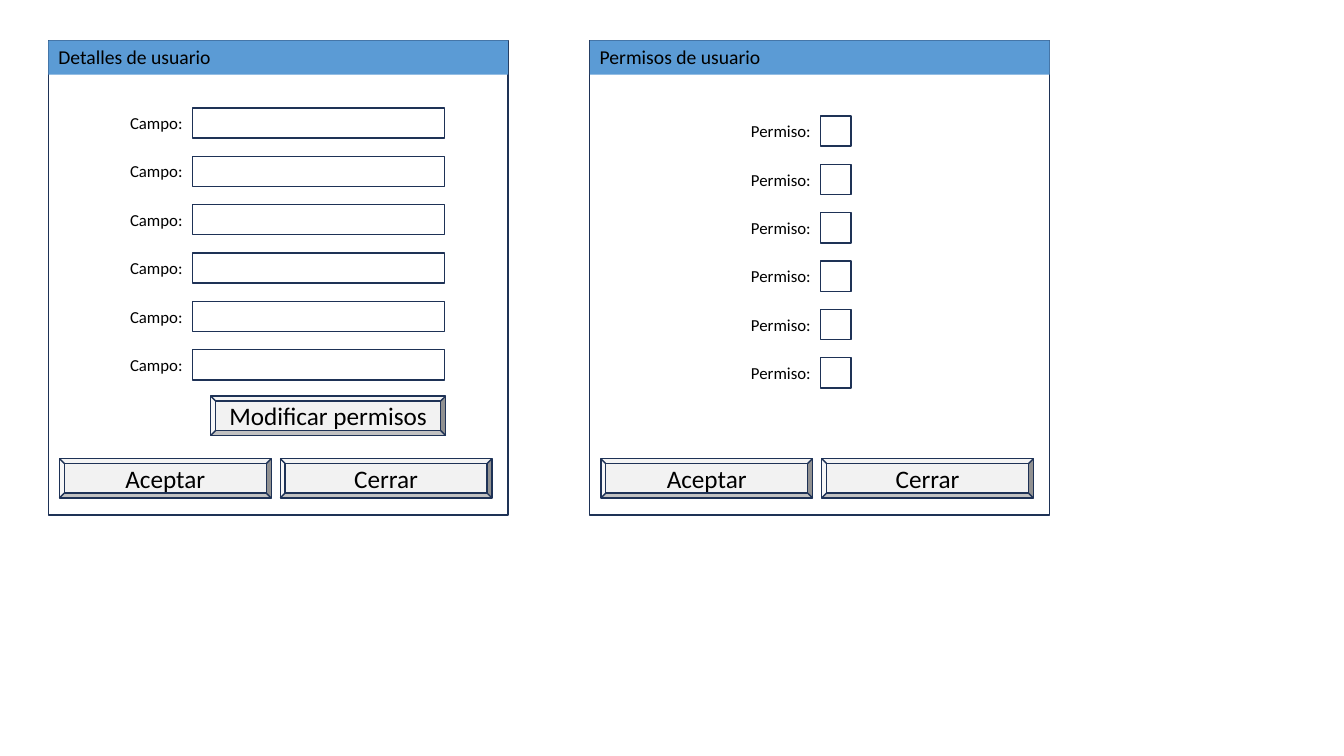
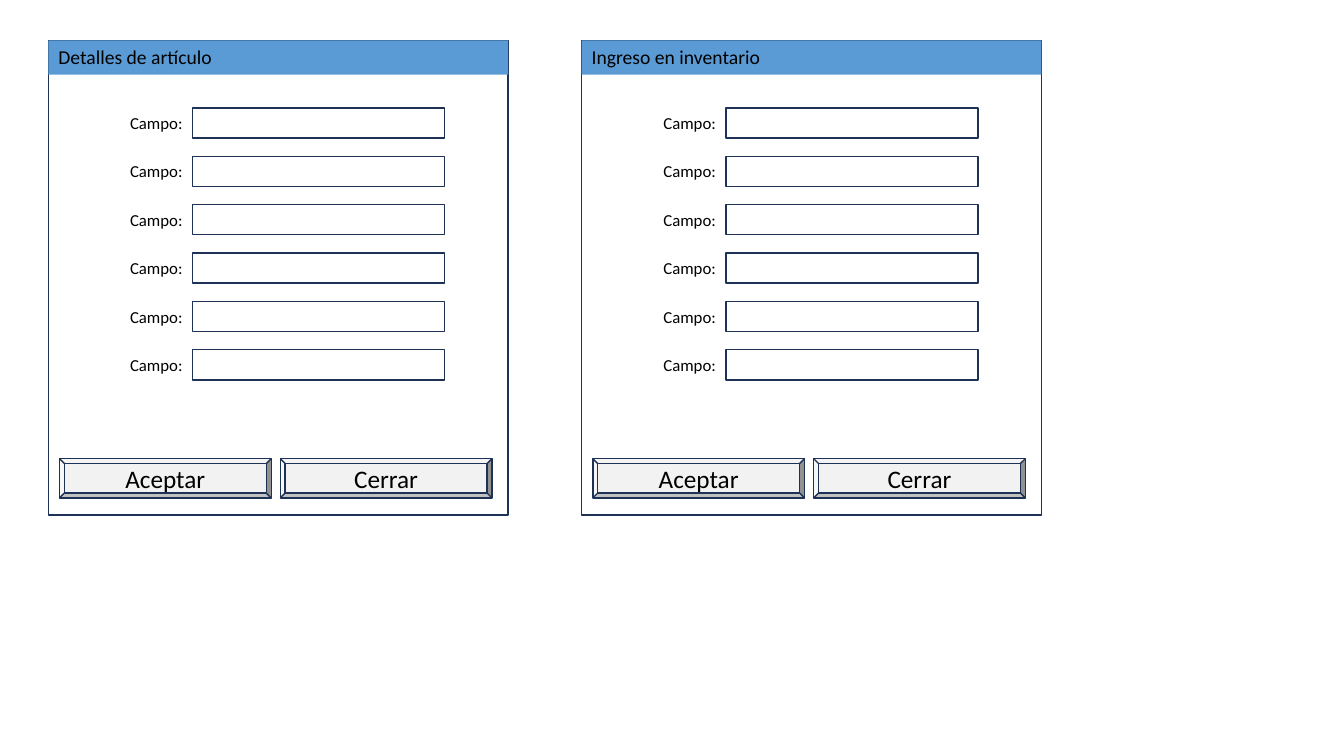
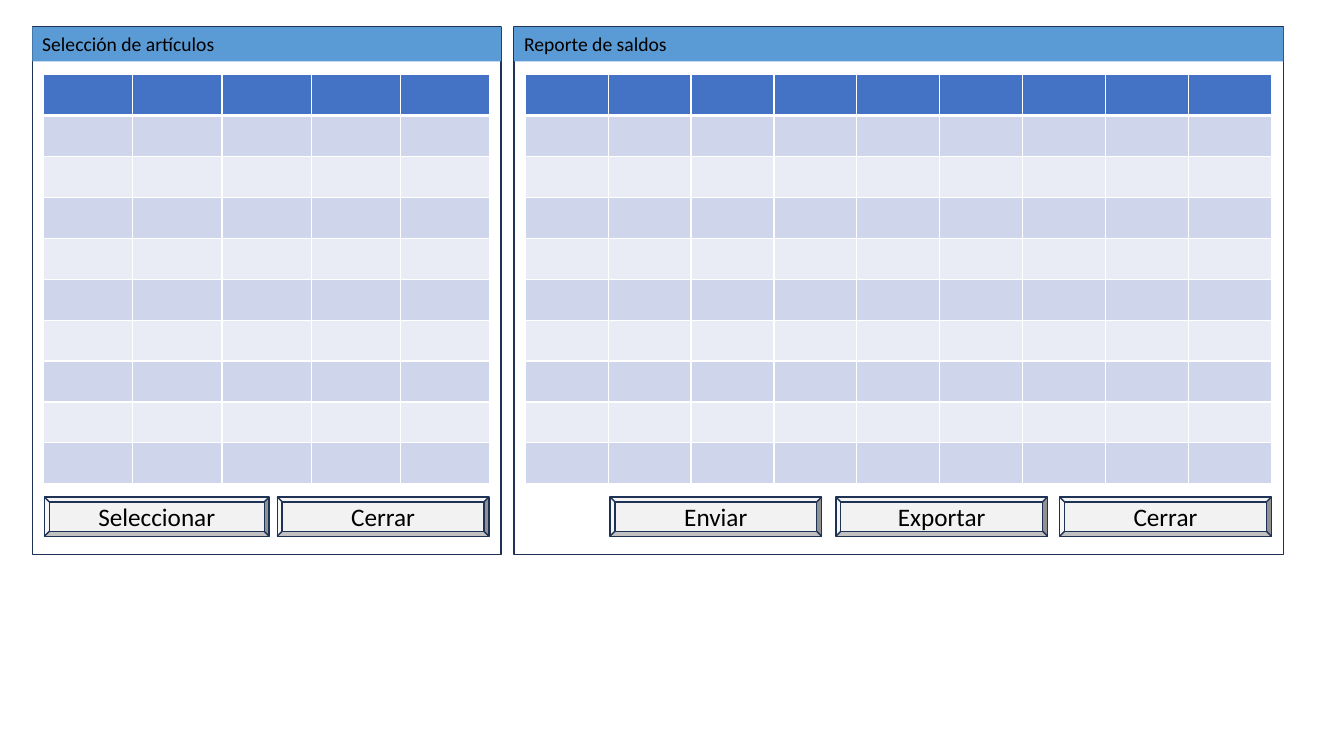
"""Build three slides of dialog mock-ups for users, articles and stock reports."""
from dataclasses import dataclass
from typing import Optional

from lxml import etree
from pptx import Presentation
from pptx import util as u
from pptx.dml.color import RGBColor
from pptx.enum import shapes, text
from pptx.oxml.ns import qn

SCALE = 9144
RECT = shapes.MSO_SHAPE.RECTANGLE
BEVEL = shapes.MSO_SHAPE.BEVEL
ALIGN = text.PP_ALIGN
ANCHOR = text.MSO_ANCHOR


@dataclass(frozen=True)
class Theme:
    font: str = "Calibri"
    ink: str = "000000"
    edge: str = "1E3256"
    bar: str = "5B9BD5"
    key: str = "F2F2F2"
    head: str = "4472C4"
    odd: str = "CFD5EA"
    even: str = "E9EBF5"
    rule: str = "FFFFFF"
    title: int = 14
    label: int = 12
    button: int = 18


@dataclass(frozen=True)
class Box:
    left: int
    top: int
    width: int
    height: int

    def emu(self) -> tuple:
        return tuple(n * SCALE for n in (self.left, self.top, self.width, self.height))

    def inner(self, left: int, top: int, width: int, height: int) -> "Box":
        return Box(self.left + left, self.top + top, width, height)


@dataclass(frozen=True)
class Button:
    name: str
    left: int
    top: int
    width: int = 210


@dataclass(frozen=True)
class Form:
    label: str
    left: int
    top: int
    width: int
    count: int = 6
    pitch: int = 48


@dataclass(frozen=True)
class Grid:
    cols: int
    width: int
    rows: int = 10
    height: int = 406


@dataclass(frozen=True)
class Panel:
    title: str
    box: Box
    buttons: tuple
    form: Optional[Form] = None
    grid: Optional[Grid] = None


LOOK = Theme()
CLOSE = (Button("Cerrar", 230, 415), Button("Aceptar", 11, 415))
FIELDS = Form("Campo:", 143, 67, 250)
CHECKS = Form("Permiso:", 229, 75, 30)
LEFT = Box(48, 40, 456, 471)

SLIDES = (
    (
        Panel("Detalles de usuario", LEFT,
              CLOSE + (Button("Modificar permisos", 161, 353, 233),), FIELDS),
        Panel("Permisos de usuario", Box(585, 40, 456, 471), CLOSE, CHECKS),
    ),
    (
        Panel("Detalles de artículo", LEFT, CLOSE, FIELDS),
        Panel("Ingreso en inventario", Box(577, 40, 456, 471), CLOSE, FIELDS),
    ),
    (
        Panel("Selección de artículos", Box(32, 27, 465, 523),
              (Button("Cerrar", 243, 466), Button("Seleccionar", 12, 466, 223)),
              grid=Grid(5, 443)),
        Panel("Reporte de saldos", Box(510, 27, 763, 523),
              (Button("Enviar", 95, 466), Button("Exportar", 319, 466),
               Button("Cerrar", 541, 466)),
              grid=Grid(9, 740)),
    ),
)


def tint(name: str) -> RGBColor:
    return RGBColor.from_string(name)


def draw_shape(slide, kind, box: Box, fill: str = "", line: str = ""):
    shape = slide.shapes.add_shape(kind, *box.emu())
    shape.shadow.inherit = False
    if fill:
        shape.fill.solid()
        shape.fill.fore_color.rgb = tint(fill)
    else:
        shape.fill.background()
    if line:
        shape.line.color.rgb = tint(line)
        shape.line.width = u.Pt(1)
    else:
        shape.line.fill.background()
    return shape


def write(shape, words: str, size: int, align, anchor) -> None:
    frame = shape.text_frame
    frame.word_wrap = True
    frame.vertical_anchor = anchor
    frame.text = words
    para = frame.paragraphs[0]
    para.alignment = align
    for run in para.runs:
        run.font.name = LOOK.font
        run.font.size = u.Pt(size)
        run.font.color.rgb = tint(LOOK.ink)


def draw_button(slide, box: Box, button: Button) -> None:
    place = box.inner(button.left, button.top, button.width, 39)
    shape = draw_shape(slide, BEVEL, place, LOOK.key, LOOK.edge)
    write(shape, button.name, LOOK.button, ALIGN.CENTER, ANCHOR.MIDDLE)


def draw_form(slide, box: Box, form: Form) -> None:
    for row in range(form.count):
        top = form.top + row * form.pitch
        label = slide.shapes.add_textbox(*box.inner(form.left - 93, top, 93, 30).emu())
        write(label, form.label, LOOK.label, ALIGN.RIGHT, ANCHOR.TOP)
        draw_shape(slide, RECT, box.inner(form.left, top, form.width, 30), line=LOOK.edge)


def rule_cell(cell, base: int) -> None:
    props = cell._tc.get_or_add_tcPr()
    sides = (("a:lnL", 1), ("a:lnR", 1), ("a:lnT", 1), ("a:lnB", base))
    for spot, (side, width) in enumerate(sides):
        line = etree.Element(qn(side), w=str(u.Pt(width)))
        fill = etree.SubElement(line, qn("a:solidFill"))
        etree.SubElement(fill, qn("a:srgbClr"), val=LOOK.rule)
        props.insert(spot, line)


def draw_grid(slide, box: Box, grid: Grid) -> None:
    place = box.inner(11, 47, grid.width, grid.height)
    table = slide.shapes.add_table(grid.rows, grid.cols, *place.emu()).table
    for index, row in enumerate(table.rows):
        shade = LOOK.head if index == 0 else (LOOK.even, LOOK.odd)[index % 2]
        for cell in row.cells:
            cell.fill.solid()
            cell.fill.fore_color.rgb = tint(shade)
            rule_cell(cell, 3 if index == 0 else 1)


def draw_panel(slide, panel: Panel) -> None:
    box = panel.box
    draw_shape(slide, RECT, box, line=LOOK.edge)
    bar = draw_shape(slide, RECT, box.inner(0, 0, box.width, 34), LOOK.bar)
    write(bar, panel.title, LOOK.title, ALIGN.LEFT, ANCHOR.TOP)
    if panel.form:
        draw_form(slide, box, panel.form)
    if panel.grid:
        draw_grid(slide, box, panel.grid)
    for button in panel.buttons:
        draw_button(slide, box, button)


def main() -> None:
    deck = Presentation()
    deck.slide_width = 1333 * SCALE
    deck.slide_height = 750 * SCALE
    for panels in SLIDES:
        slide = deck.slides.add_slide(deck.slide_layouts[6])
        for panel in panels:
            draw_panel(slide, panel)
    deck.save("out.pptx")


if __name__ == "__main__":
    main()
